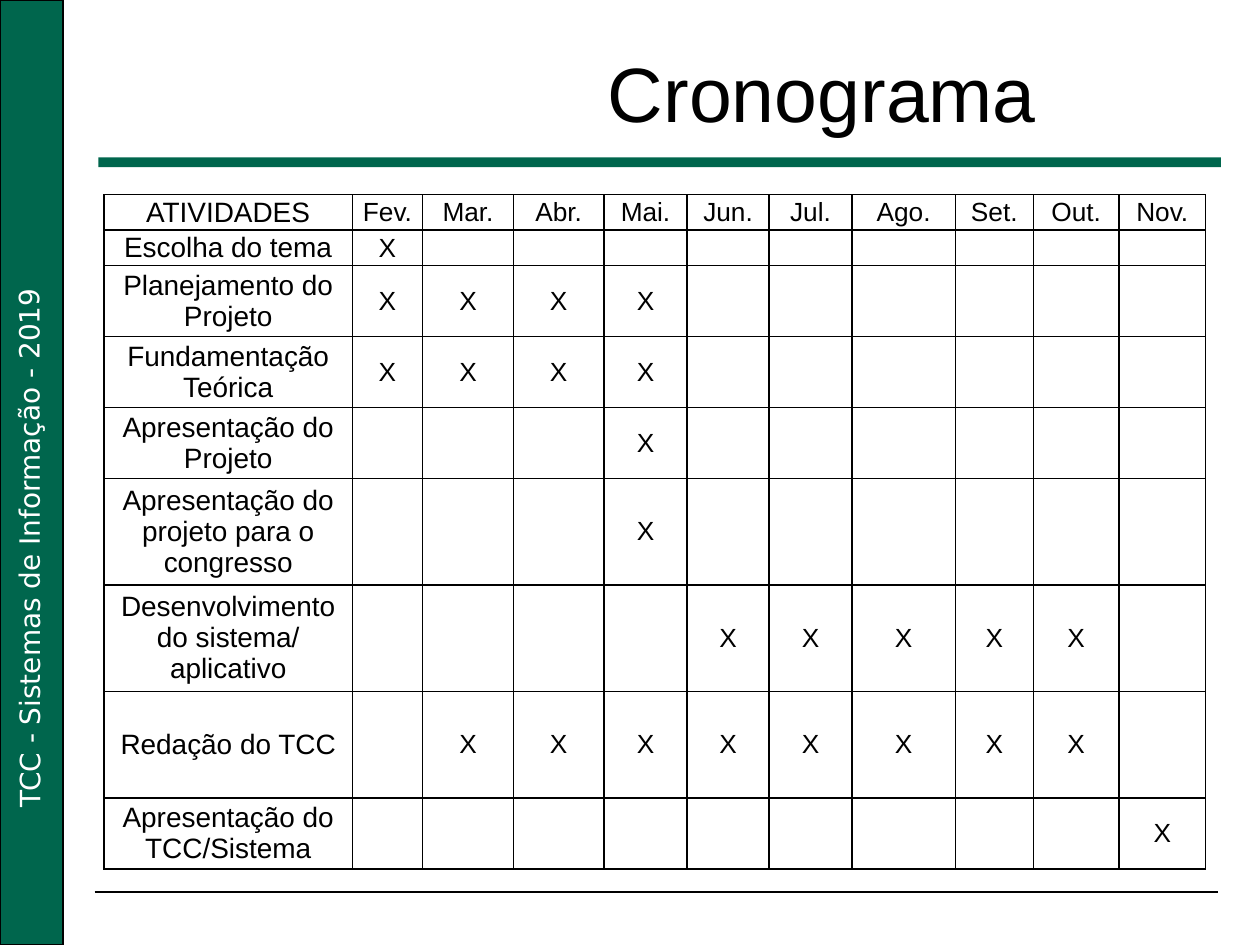
from pptx import Presentation
from pptx.dml.color import RGBColor
from pptx.enum.shapes import MSO_CONNECTOR as CONN, MSO_SHAPE as SHAPE
from pptx.enum.text import MSO_ANCHOR as ANCHOR, PP_ALIGN as ALIGN
from pptx.oxml.ns import qn
from pptx.util import Pt
from lxml.etree import SubElement

GREEN = RGBColor(0x00, 0x66, 0x4D)
BLACK = RGBColor(0x00, 0x00, 0x00)
WHITE = RGBColor(0xFF, 0xFF, 0xFF)

MONTHS = ["Fev.", "Mar.", "Abr.", "Mai.", "Jun.", "Jul.", "Ago.", "Set.", "Out.", "Nov."]
ACTIVITIES = [
    ("Escolha do tema", 1, ["Fev."]),
    ("Planejamento do Projeto", 2, MONTHS[:4]),
    ("Fundamentação Teórica", 2, MONTHS[:4]),
    ("Apresentação do Projeto", 2, ["Mai."]),
    ("Apresentação do projeto para o congresso", 3, ["Mai."]),
    ("Desenvolvimento do sistema/ aplicativo", 3, MONTHS[4:9]),
    ("Redação do TCC", 3, MONTHS[1:9]),
    ("Apresentação do TCC/Sistema", 2, ["Nov."]),
]
COL_WIDTHS = [141.8, 40.3, 51.8, 51.8, 47.5, 46.8, 47.5, 59, 44.6, 49, 49.4]
LINE_HEIGHT = 20.28


class Deck:
    font = "Arial"
    label_size = 16
    mark_size = 15

    def __init__(self, width, height):
        self.prs = Presentation()
        self.prs.slide_width, self.prs.slide_height = Pt(width), Pt(height)
        self.s = self.prs.slides.add_slide(self.prs.slide_layouts[6])

    def rect(self, x, y, w, h, line=None):
        sp = self.s.shapes.add_shape(SHAPE.RECTANGLE, Pt(x), Pt(y), Pt(w), Pt(h))
        sp.shadow.inherit = False
        sp.fill.solid()
        sp.fill.fore_color.rgb = GREEN
        if line is None:
            sp.line.fill.background()
        else:
            sp.line.color.rgb = line
            sp.line.width = Pt(0.75)

    def rule(self, x1, y1, x2, y2):
        cxn = self.s.shapes.add_connector(CONN.STRAIGHT, Pt(x1), Pt(y1), Pt(x2), Pt(y2))
        cxn.line.color.rgb = BLACK
        cxn.line.width = Pt(0.75)
        SubElement(cxn._element.spPr, qn("a:effectLst"))

    def run(self, p, text, size, color=BLACK, font=None):
        r = p.add_run()
        r.text = text
        r.font.size = Pt(size)
        r.font.name = font or self.font
        r.font.color.rgb = color

    def text(self, x, y, w, h, text, size, color=BLACK, font=None,
             align=ALIGN.LEFT, anchor=ANCHOR.TOP, rotation=0):
        sp = self.s.shapes.add_textbox(Pt(x), Pt(y), Pt(w), Pt(h))
        sp.rotation = rotation
        tf = sp.text_frame
        tf.word_wrap = True
        tf.vertical_anchor = anchor
        p = tf.paragraphs[0]
        p.alignment = align
        self.run(p, text, size, color, font)

    def borders(self, cell):
        tc_pr = cell._tc.get_or_add_tcPr()
        for i, side in enumerate(("a:lnL", "a:lnR", "a:lnT", "a:lnB")):
            ln = SubElement(tc_pr, qn(side), w=str(Pt(1)))
            fill = SubElement(ln, qn("a:solidFill"))
            SubElement(fill, qn("a:srgbClr"), val=str(BLACK))
            tc_pr.insert(i, ln)

    def cell(self, cell, text, size):
        cell.fill.background()
        cell.vertical_anchor = ANCHOR.MIDDLE
        cell.margin_left = cell.margin_right = Pt(5)
        cell.margin_top = cell.margin_bottom = 0
        p = cell.text_frame.paragraphs[0]
        p.alignment = ALIGN.CENTER
        if text:
            self.run(p, text, size)
        else:
            SubElement(p._p, qn("a:endParaRPr"), sz=str(size * 100))
        self.borders(cell)

    def table(self, x, y, widths, heights, rows):
        tbl = self.s.shapes.add_table(len(rows), len(widths), Pt(x), Pt(y),
                                      Pt(sum(widths)), Pt(sum(heights))).table
        tbl.first_row = tbl.horz_banding = False
        for col, w in zip(tbl.columns, widths):
            col.width = Pt(w)
        for row, h in zip(tbl.rows, heights):
            row.height = Pt(h)
        for i, row in enumerate(rows):
            for j, text in enumerate(row):
                self.cell(tbl.cell(i, j), text, self.mark_size if j else self.label_size)


def main():
    deck = Deck(720, 540)
    deck.rect(0, 0, 36, 540, line=BLACK)
    deck.text(-144.7, 293.8, 322.6, 26.6, "TCC - Sistemas de Informação - 2019", 16,
              color=WHITE, font="DejaVu Sans", rotation=269.9)
    deck.rule(54, 509.8, 696, 509.8)
    deck.rect(56.2, 90, 641.5, 5.6)
    deck.text(247.7, 16.6, 444.2, 72, "Cronograma", 44,
              align=ALIGN.CENTER, anchor=ANCHOR.MIDDLE)

    rows = [["ATIVIDADES"] + MONTHS]
    heights = [LINE_HEIGHT]
    for name, lines, active in ACTIVITIES:
        rows.append([name] + ["X" if m in active else "" for m in MONTHS])
        heights.append(lines * LINE_HEIGHT)
    deck.table(59.5, 111.3, COL_WIDTHS, heights, rows)
    deck.prs.save("out.pptx")


if __name__ == "__main__":
    main()
